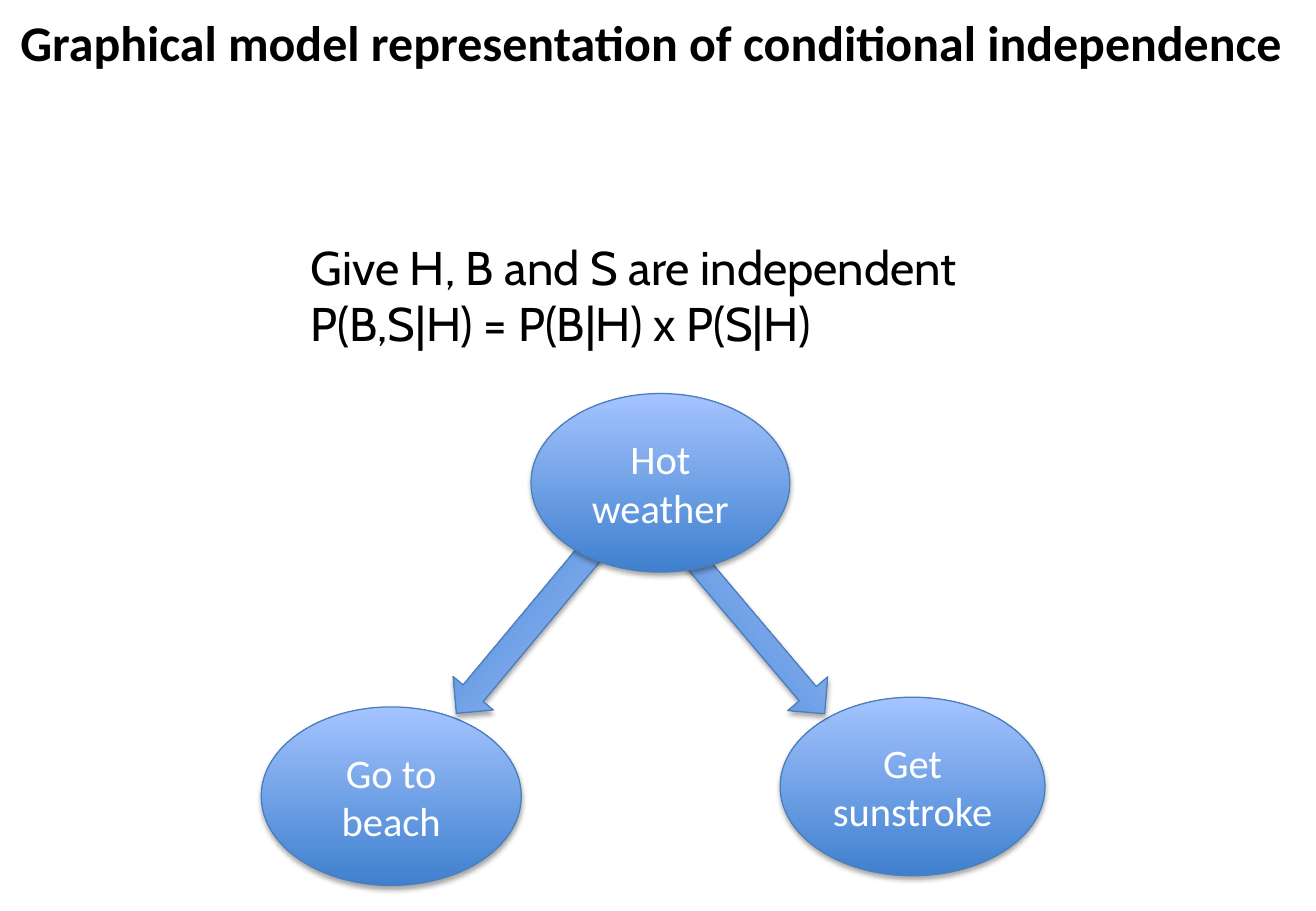
from lxml import etree
from pptx import Presentation
from pptx.dml.color import RGBColor
from pptx.enum.shapes import MSO_SHAPE
from pptx.enum.text import MSO_ANCHOR, MSO_AUTO_SIZE, PP_ALIGN
from pptx.oxml.ns import qn
from pptx.util import Inches, Pt

COLORS = {
    "dark": "3F80CE",
    "light": "A4C4FF",
    "line": "4B7EBC",
    "shadow": "000000",
    "text": "000000",
    "node_text": "FFFFFF",
}


def rgb(name):
    return RGBColor.from_string(COLORS[name])


def add_run(p, text, size, font, color, bold=False):
    r = p.add_run()
    r.text = text
    r.font.size = Pt(size)
    r.font.name = font
    r.font.bold = bold
    r.font.color.rgb = rgb(color)


def add_shadow(s):
    s.shadow.inherit = False
    effects = s._element.spPr.find(qn("a:effectLst"))
    shadow = etree.SubElement(
        effects, qn("a:outerShdw"), blurRad=str(Pt(3.1)), dist=str(Pt(1.8)),
        dir="5400000", rotWithShape="0")
    color = etree.SubElement(shadow, qn("a:srgbClr"), val=COLORS["shadow"])
    etree.SubElement(color, qn("a:alpha"), val="35000")


def add_glossy_shape(slide, kind, x, y, w, h):
    s = slide.shapes.add_shape(kind, Inches(x), Inches(y), Inches(w), Inches(h))
    s.fill.gradient()
    s.fill.gradient_angle = 90
    for stop, position, name in zip(s.fill.gradient_stops, (0, 1), ("dark", "light")):
        stop.position = position
        stop.color.rgb = rgb(name)
    s.line.color.rgb = rgb("line")
    s.line.width = Pt(0.75)
    add_shadow(s)
    return s


def add_node(slide, text, x, y, w):
    s = add_glossy_shape(slide, MSO_SHAPE.OVAL, x, y, w, 1.47)
    tf = s.text_frame
    tf.vertical_anchor = MSO_ANCHOR.MIDDLE
    p = tf.paragraphs[0]
    p.alignment = PP_ALIGN.CENTER
    add_run(p, text, 24, "Calibri", "node_text")


def add_arrow(slide, x, y, w, rotation, shaft=0.5):
    s = add_glossy_shape(slide, MSO_SHAPE.RIGHT_ARROW, x, y, w, 0.43)
    s.adjustments[0] = shaft
    s.rotation = rotation


def add_text(slide, lines, x, y, w, h, size, font, bold=False,
             align=PP_ALIGN.LEFT, anchor=MSO_ANCHOR.TOP, wrap=True):
    tf = slide.shapes.add_textbox(Inches(x), Inches(y), Inches(w), Inches(h)).text_frame
    tf.word_wrap = wrap
    tf.auto_size = MSO_AUTO_SIZE.NONE if wrap else MSO_AUTO_SIZE.SHAPE_TO_FIT_TEXT
    tf.vertical_anchor = anchor
    for i, line in enumerate(lines):
        p = tf.add_paragraph() if i else tf.paragraphs[0]
        p.alignment = align
        add_run(p, line, size, font, "text", bold)


def main():
    prs = Presentation()
    prs.slide_width, prs.slide_height = Inches(10.83), Inches(7.5)
    slide = prs.slides.add_slide(prs.slide_layouts[6])

    # Effects
    add_node(slide, "Go to beach", 2.15, 5.82, 2.14)
    add_node(slide, "Get sunstroke", 6.42, 5.74, 2.18)

    # Arrows, tucked under the cause
    add_arrow(slide, 4.91, 4.79, 2.28, 49.8, shaft=0.426)
    add_arrow(slide, 3.34, 4.77, 2.31, 129.8)

    # Independence statement
    add_text(slide, ["Give H, B and S are independent", "P(B,S|H) = P(B|H) x P(S|H)"],
             2.46, 1.91, 5.93, 1.04, 28, "Cabin", wrap=False)

    # Common cause
    add_node(slide, "Hot weather", 4.37, 3.24, 2.13)

    # Title
    add_text(slide, ["Graphical model representation of conditional independence "],
             0, 0.01, 10.83, 0.66, 29.6, "Calibri", bold=True,
             align=PP_ALIGN.CENTER, anchor=MSO_ANCHOR.MIDDLE)

    prs.save("out.pptx")


if __name__ == "__main__":
    main()
